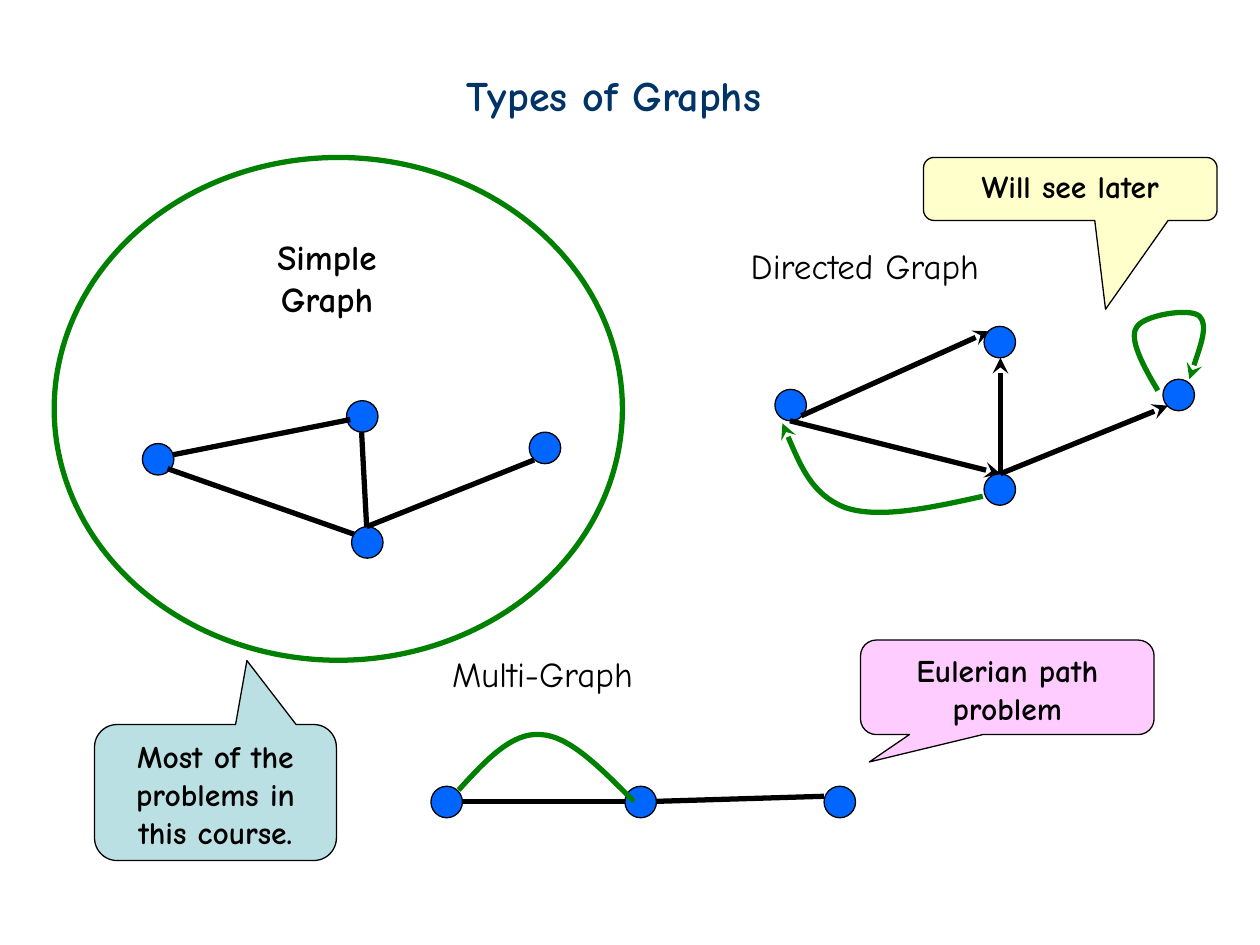
from lxml import etree
from pptx import Presentation
from pptx.dml.color import RGBColor
from pptx.enum.shapes import MSO_CONNECTOR, MSO_SHAPE
from pptx.enum.text import MSO_ANCHOR, PP_ALIGN
from pptx.oxml.ns import qn
from pptx.util import Inches, Pt

FONT, BLACK, GREEN, BLUE, NODE = "Comic Neue", "000000", "008000", "0066FF", 0.25

LABELS = [
    (["Types of Graphs"], (3.6, 0.5, 2.88, 0.5), 24, "003366", True, PP_ALIGN.LEFT),
    (["Directed Graph"], (5.86, 1.89, 2.21, 0.43), 20, BLACK, False, PP_ALIGN.LEFT),
    (["Multi-Graph"], (3.49, 5.13, 1.77, 0.43), 20, BLACK, False, PP_ALIGN.LEFT),
    (["Simple", "Graph"], (2.02, 1.82, 1.15, 0.77), 20, BLACK, True, PP_ALIGN.CENTER),
]
GRAPHS = [
    {
        "nodes": [(6.15, 3.09), (7.81, 2.59), (9.23, 3.01), (7.81, 3.76)],
        "edges": [(6.36, 3.3, 7.85, 2.63), (6.27, 3.34, 7.94, 3.76),
                  (7.94, 3.76, 7.94, 2.84), (7.94, 3.76, 9.27, 3.22)],
        "curves": [
            [(9.19, 3.1), (9.07, 2.9), (8.96, 2.69), (9.02, 2.6), (9.07, 2.5),
             (9.45, 2.44), (9.52, 2.51), (9.59, 2.58), (9.51, 2.8), (9.44, 3.01)],
            [(7.8, 3.94), (7.39, 4.03), (6.98, 4.12), (6.71, 4.03),
             (6.45, 3.93), (6.33, 3.65), (6.21, 3.36)],
        ],
        "directed": True,
    },
    {
        "nodes": [(3.42, 6.24), (4.96, 6.24), (6.54, 6.24)],
        "edges": [(3.67, 6.36, 4.96, 6.36), (6.54, 6.32, 5.21, 6.36)],
        "curves": [[(3.64, 6.27), (3.85, 6.04), (4.06, 5.81), (4.29, 5.83),
                    (4.52, 5.84), (4.77, 6.1), (5.03, 6.36)]],
        "directed": False,
    },
    {
        "nodes": [(1.13, 3.52), (2.75, 3.18), (4.2, 3.43), (2.79, 4.18)],
        "edges": [(2.91, 4.18, 2.87, 3.43), (2.91, 4.18, 4.24, 3.65),
                  (1.37, 3.61, 2.78, 3.33), (1.33, 3.72, 2.81, 4.24)],
        "curves": [],
        "directed": False,
    },
]
CALLOUTS = [
    ("Eulerian path problem", (6.83, 5.08, 2.33, 0.75), "FFCCFF", (-0.47, 0.79)),
    ("Most of the problems in this course.", (0.75, 5.75, 1.92, 1.08), "BBE0E3", (0.13, -0.97)),
    ("Will see later", (7.33, 1.25, 2.33, 0.5), "FFFFCC", (0.12, 1.91)),
]


def rgb(color):
    """Turn a hex string into a colour."""
    return RGBColor.from_string(color)


def set_line(sp, color, width, arrow=False):
    """Set an outline, with a stealth arrowhead at its end if asked."""
    sp.line.color.rgb = rgb(color)
    sp.line.width = Pt(width)
    if arrow:
        etree.SubElement(sp.line._get_or_add_ln(), qn("a:tailEnd"), type="stealth")


def add_shape(s, kind, box, fill, color, width):
    """Add a preset shape with a flat fill, or none."""
    sp = s.shapes.add_shape(kind, *map(Inches, box))
    sp.shadow.inherit = False
    if fill:
        sp.fill.solid()
        sp.fill.fore_color.rgb = rgb(fill)
    else:
        sp.fill.background()
    set_line(sp, color, width)
    return sp


def write(tf, lines, size, color, bold, align):
    """Write one paragraph for each line."""
    for i, text in enumerate(lines):
        p = tf.add_paragraph() if i else tf.paragraphs[0]
        p.text = text
        p.alignment = align
        font = p.font
        font.name, font.size, font.bold = FONT, Pt(size), bold
        font.color.rgb = rgb(color)


def add_label(s, lines, box, *style):
    """Add an unwrapped text box."""
    tf = s.shapes.add_textbox(*map(Inches, box)).text_frame
    tf.word_wrap = False
    write(tf, lines, *style)


def add_edge(s, ends, arrow):
    """Add a straight edge."""
    sp = s.shapes.add_connector(MSO_CONNECTOR.STRAIGHT, *map(Inches, ends))
    set_line(sp, BLACK, 3, arrow)
    etree.SubElement(sp._element.spPr, qn("a:effectLst"))


def add_curve(s, points, arrow):
    """Add an open curve from a start point and triples of Bezier points."""
    start, *rest = [(Inches(x), Inches(y)) for x, y in points]
    builder = s.shapes.build_freeform(*start)
    builder.add_line_segments(rest, close=False)
    sp = builder.convert_to_shape()
    steps = list(sp._element.iter(qn("a:lnTo")))
    for i in range(0, len(steps), 3):
        curve = etree.SubElement(steps[i].getparent(), qn("a:cubicBezTo"))
        for step in steps[i:i + 3]:
            curve.append(step[0])
            step.getparent().remove(step)
    sp.shadow.inherit = False
    sp.fill.background()
    set_line(sp, GREEN, 3, arrow)


def add_callout(s, text, box, fill, tip):
    """Add a rounded callout whose tip is given relative to its centre."""
    sp = add_shape(s, MSO_SHAPE.ROUNDED_RECTANGULAR_CALLOUT, box, fill, BLACK, 0.75)
    sp.adjustments[0], sp.adjustments[1] = tip
    tf = sp.text_frame
    tf.word_wrap = True
    tf.vertical_anchor = MSO_ANCHOR.TOP
    write(tf, [text], 18, BLACK, True, PP_ALIGN.CENTER)


def main():
    """Build the slide."""
    prs = Presentation()
    prs.slide_width, prs.slide_height = Inches(10), Inches(7.5)
    s = prs.slides.add_slide(prs.slide_layouts[6])
    for label in LABELS:
        add_label(s, *label)
    for graph in GRAPHS:
        for x, y in graph["nodes"]:
            add_shape(s, MSO_SHAPE.OVAL, (x, y, NODE, NODE), BLUE, BLACK, 0.75)
        for ends in graph["edges"]:
            add_edge(s, ends, graph["directed"])
        for points in graph["curves"]:
            add_curve(s, points, graph["directed"])
    add_shape(s, MSO_SHAPE.OVAL, (0.43, 1.25, 4.51, 3.99), None, GREEN, 3)
    for callout in CALLOUTS:
        add_callout(s, *callout)
    prs.save("out.pptx")


if __name__ == "__main__":
    main()
